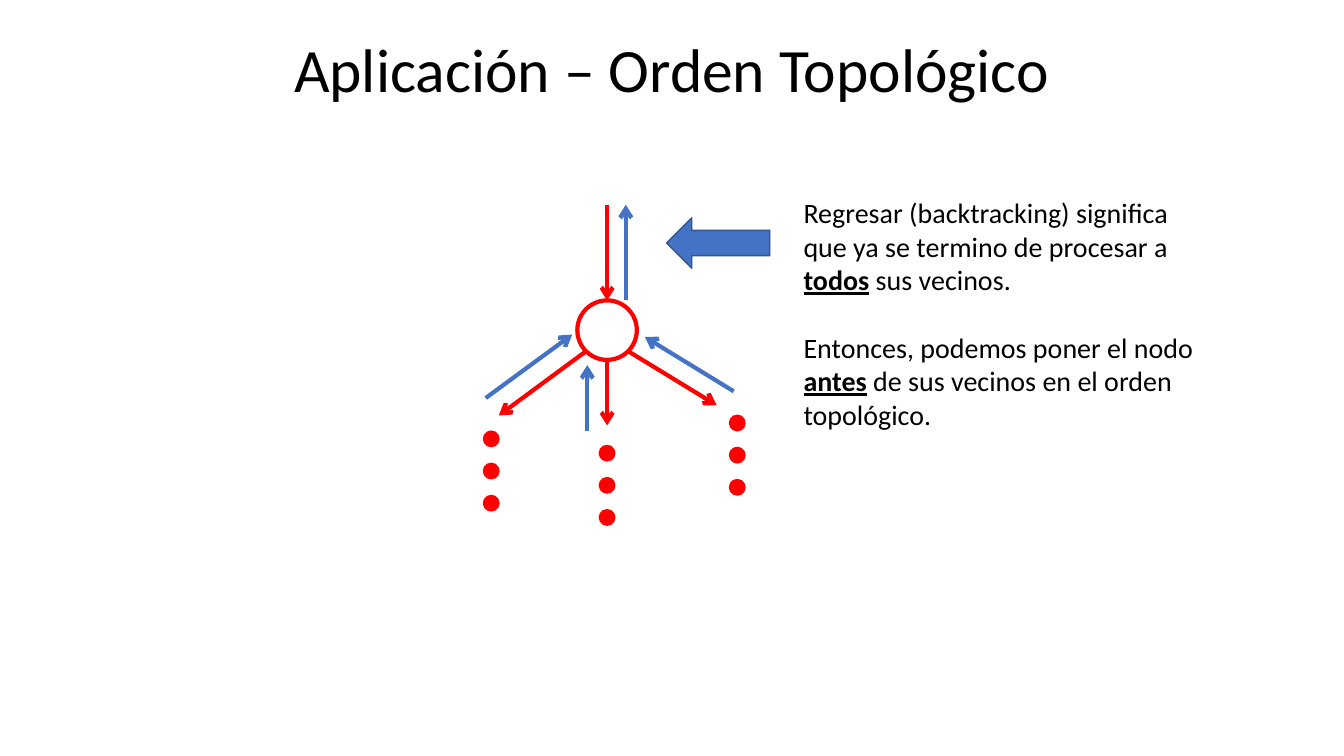
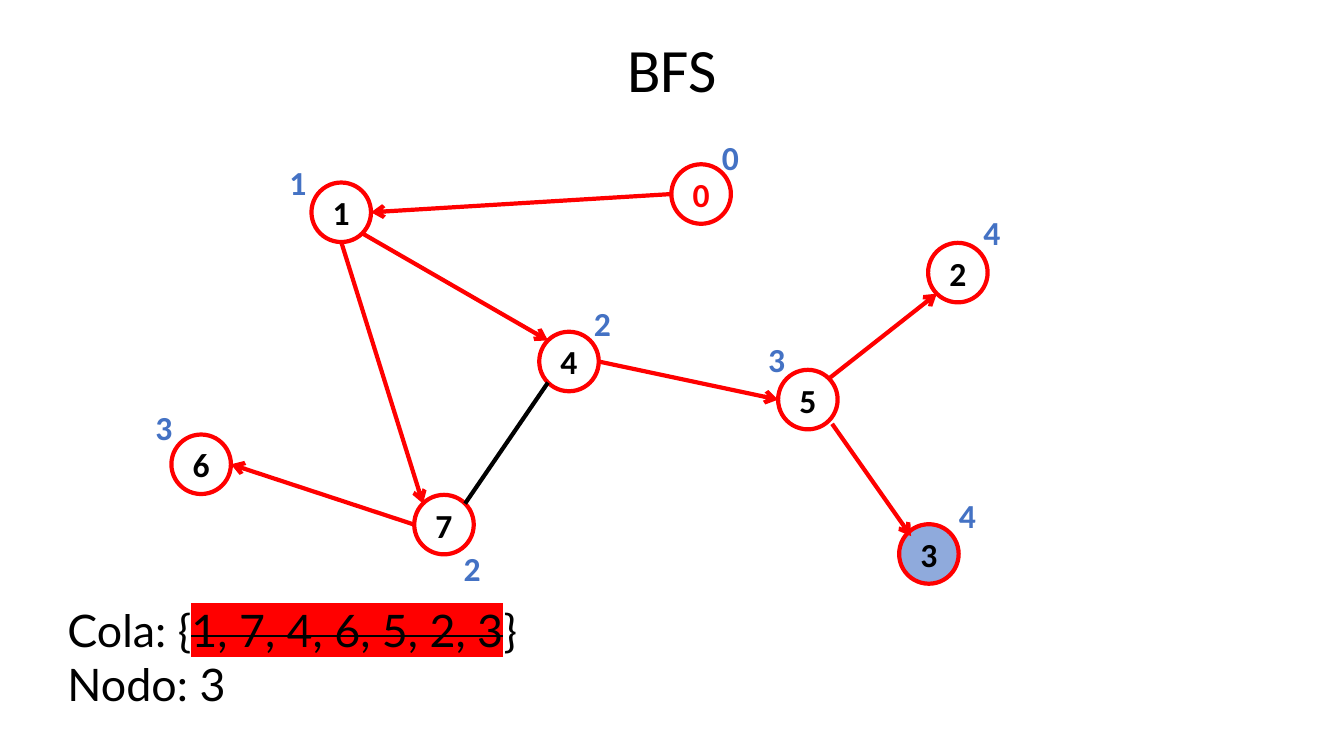
from dataclasses import dataclass
from math import cos, radians, sin

from lxml import etree
from pptx import Presentation
from pptx.dml.color import RGBColor
from pptx.enum.shapes import MSO_CONNECTOR, MSO_SHAPE
from pptx.enum.text import MSO_ANCHOR, PP_ALIGN
from pptx.oxml.ns import qn
from pptx.util import Cm, Pt

ELLIPSE, LEFT_ARROW = MSO_SHAPE.OVAL, MSO_SHAPE.LEFT_ARROW
STRAIGHT = MSO_CONNECTOR.STRAIGHT
TOP, MIDDLE = MSO_ANCHOR.TOP, MSO_ANCHOR.MIDDLE
LEFT, CENTER = PP_ALIGN.LEFT, PP_ALIGN.CENTER


@dataclass(frozen=True)
class Theme:
    """Colours, fonts, type sizes and measures (cm) the slides share."""
    black: str = "000000"
    red: str = "FF0000"
    blue: str = "4472C4"
    dark_blue: str = "325491"
    light_blue: str = "8FAADC"
    font: str = "Calibri"
    queue_font: str = "Lato"
    title_size: int = 44
    queue_size: int = 32
    node_size: int = 24
    body_size: int = 20
    stroke: int = 3
    page_width: float = 33.87
    page_height: float = 19.05
    title_height: float = 3.68
    radius: float = 0.75
    dot: float = 0.39
    dot_pitch: float = 0.81


THEME = Theme()
ANGLES = {"right": 0, "bottom right": 45, "bottom": 90, "bottom left": 135,
          "left": 180, "top left": 225, "top": 270, "top right": 315}


def rim(center, side):
    """Return the point of a node's rim on the named side."""
    angle = radians(ANGLES[side])
    return (center[0] + THEME.radius * cos(angle),
            center[1] + THEME.radius * sin(angle))


def shift(origin, offset):
    """Return the origin moved by an offset."""
    return origin[0] + offset[0], origin[1] + offset[1]


def apply(target, values):
    """Set each attribute named in a dict of format values."""
    for name, value in values.items():
        setattr(target, name, value)


def write(box, paragraphs, size, color=THEME.black, font=THEME.font, bold=False,
          align=LEFT, anchor=TOP, inset=(0.25, 0.13), gap=0, spacing=None):
    """Fill a box with paragraphs, each a list of (text, format) spans."""
    frame = box.text_frame
    apply(frame, {"word_wrap": True, "vertical_anchor": anchor,
                  "margin_left": Cm(inset[0]), "margin_right": Cm(inset[0]),
                  "margin_top": Cm(inset[1]), "margin_bottom": Cm(inset[1])})
    for index, spans in enumerate(paragraphs):
        para = frame.add_paragraph() if index else frame.paragraphs[0]
        apply(para, {"alignment": align, "line_spacing": spacing,
                     "space_before": Pt(gap if index else 0)})
        for text, extra in spans:
            span = para.add_run()
            span.text = text
            apply(span.font, {"name": font, "size": Pt(size), "bold": bold, **extra})
            span.font.color.rgb = RGBColor.from_string(color)


def add_text(page, box, paragraphs, size, **options):
    """Add a text box at (left, top, width, height)."""
    area = page.shapes.add_textbox(*map(Cm, box))
    write(area, paragraphs, size, **options)
    return area


def add_title(page, text):
    """Add the centred title across the top of the page."""
    add_text(page, (0, 0, THEME.page_width, THEME.title_height), [[(text, {})]],
             THEME.title_size, align=CENTER, anchor=MIDDLE, spacing=0.9)


def add_figure(shapes, kind, box, fill, line, width):
    """Add a preset shape with a flat fill and outline."""
    figure = shapes.add_shape(kind, *map(Cm, box))
    figure.shadow.inherit = False
    if fill:
        figure.fill.solid()
        figure.fill.fore_color.rgb = RGBColor.from_string(fill)
    else:
        figure.fill.background()
    figure.line.color.rgb = RGBColor.from_string(line)
    figure.line.width = Pt(width)
    return figure


def add_node(page, center, fill=None):
    """Add a red-rimmed graph node around its centre."""
    side = 2 * THEME.radius
    box = (center[0] - THEME.radius, center[1] - THEME.radius, side, side)
    return add_figure(page.shapes, ELLIPSE, box, fill, THEME.red, THEME.stroke)


def add_edge(page, start, end, color, arrow=True):
    """Add a straight edge, with an arrowhead at its end if asked."""
    edge = page.shapes.add_connector(STRAIGHT, *map(Cm, (*start, *end)))
    edge.line.color.rgb = RGBColor.from_string(color)
    edge.line.width = Pt(THEME.stroke)
    properties = edge._element.spPr
    if arrow:
        etree.SubElement(properties.find(qn("a:ln")), qn("a:tailEnd"), type="arrow")
    etree.SubElement(properties, qn("a:effectLst"))


def add_dots(page, center):
    """Add a group of three dots running down from the first centre."""
    group = page.shapes.add_group_shape()
    for row in range(3):
        box = (center[0] - THEME.dot / 2,
               center[1] - THEME.dot / 2 + row * THEME.dot_pitch,
               THEME.dot, THEME.dot)
        add_figure(group.shapes, ELLIPSE, box, THEME.red, THEME.red, 1)


def add_visit(page, center):
    """Draw a node with its descents, returns and pending neighbours."""
    add_node(page, center)
    add_edge(page, shift(center, (0, -3.16)), rim(center, "top"), THEME.red)
    descents = {"bottom left": (-2.73, 2.15), "bottom": (0, 2.4),
                "bottom right": (2.76, 1.89)}
    for side, end in descents.items():
        add_edge(page, rim(center, side), shift(center, end), THEME.red)
    returns = [((-3.06, 1.71), (-0.88, 0.11)), ((-0.5, 2.53), (-0.5, 0.88)),
               ((3.19, 1.54), (0.95, 0.17)), ((0.47, -0.75), (0.47, -3.16))]
    for start, end in returns:
        add_edge(page, shift(center, start), shift(center, end), THEME.blue)
    for first_dot in [(-2.92, 2.74), (0, 3.1), (3.28, 2.34)]:
        add_dots(page, shift(center, first_dot))


def add_explanation(page, left, top):
    """Add the explanation and the block arrow pointing away from it."""
    add_figure(page.shapes, LEFT_ARROW, (left - 3.2, top + 0.69, 2.6, 1.27),
               THEME.blue, THEME.dark_blue, 1)
    strong = {"bold": True, "underline": True}
    add_text(page, (left, top, 10.41, 6.25), [
        [("Regresar (backtracking) significa que ya se termino de procesar a ", {}),
         ("todos", strong), (" sus vecinos.", {})],
        [("Entonces, podemos poner el nodo ", {}), ("antes", strong),
         (" de sus vecinos en el orden topológico.", {})],
    ], THEME.body_size, gap=24)


def add_graph(page, left, top):
    """Draw the traversed graph with each node's distance."""
    nodes = {
        "0": ((12.6, 0), "0", (0.74, -0.93)),
        "1": ((3.53, 0.46), "1", (-1.09, -0.75)),
        "2": ((19.07, 1.98), "4", (0.86, -1.03)),
        "3": ((18.34, 9.07), "4", (0.97, -0.98)),
        "4": ((9.27, 4.22), "2", (0.84, -0.98)),
        "5": ((15.29, 5.18), "3", (-0.79, -1.03)),
        "6": ((0, 6.81), "3", (-0.94, -0.95)),
        "7": ((6.12, 8.33), "2", (0.71, 1.1)),
    }
    edges = [("0", "left", "1", "right", 0), ("1", "bottom right", "4", "top left", 0),
             ("1", "bottom", "7", "top left", 0), ("4", "right", "5", "left", 0),
             ("5", "top right", "2", "bottom left", 0),
             ("5", "bottom right", "3", "top left", 0.08),
             ("7", "left", "6", "right", 0), ("7", "top right", "4", "bottom left", 0)]
    centers = {name: shift((left, top), node[0]) for name, node in nodes.items()}
    style = {"bold": True, "align": CENTER, "anchor": MIDDLE, "inset": (0, 0)}
    for name, (_, distance, offset) in nodes.items():
        node = add_node(page, centers[name], THEME.light_blue if name == "3" else None)
        write(node, [[(name, {})]], THEME.node_size,
              color=THEME.red if name == "0" else THEME.black, **style)
        x, y = shift(centers[name], offset)
        add_text(page, (x - 0.47, y - 0.63, 0.94, 1.26), [[(distance, {})]],
                 THEME.node_size, color=THEME.blue, **style)
    for source, leave, target, reach, nudge in edges:
        visited = (source, target) != ("7", "4")
        add_edge(page, shift(rim(centers[source], leave), (nudge, nudge)),
                 shift(rim(centers[target], reach), (nudge, nudge)),
                 THEME.red if visited else THEME.black, visited)


def add_queue(page, left, top):
    """Add the queue, its processed entries struck out, and the current node."""
    box = add_text(page, (left, top, 31.5, 3), [
        [("Cola: {", {}), ("1, 7, 4, 6, 5, 2, 3", {}), ("}", {})],
        [("Nodo: 3", {})],
    ], THEME.queue_size, font=THEME.queue_font)
    processed = box.text_frame.paragraphs[0].runs[1]._r.get_or_add_rPr()
    processed.set("strike", "sngStrike")
    highlight = etree.Element(qn("a:highlight"))
    etree.SubElement(highlight, qn("a:srgbClr"), val=THEME.red)
    processed.find(qn("a:solidFill")).addnext(highlight)


def build_topological_order(page):
    """Build the slide on topological order."""
    add_title(page, "Aplicación – Orden Topológico")
    add_visit(page, (15.3, 8.32))
    add_explanation(page, 20, 4.8)


def build_bfs(page):
    """Build the slide on breadth-first search."""
    add_title(page, "BFS")
    add_graph(page, 5.07, 4.89)
    add_queue(page, 1.45, 15.06)


def main():
    """Build and save the deck."""
    deck = Presentation()
    apply(deck, {"slide_width": Cm(THEME.page_width),
                 "slide_height": Cm(THEME.page_height)})
    for build in (build_topological_order, build_bfs):
        build(deck.slides.add_slide(deck.slide_layouts[6]))
    deck.save("out.pptx")


if __name__ == "__main__":
    main()
